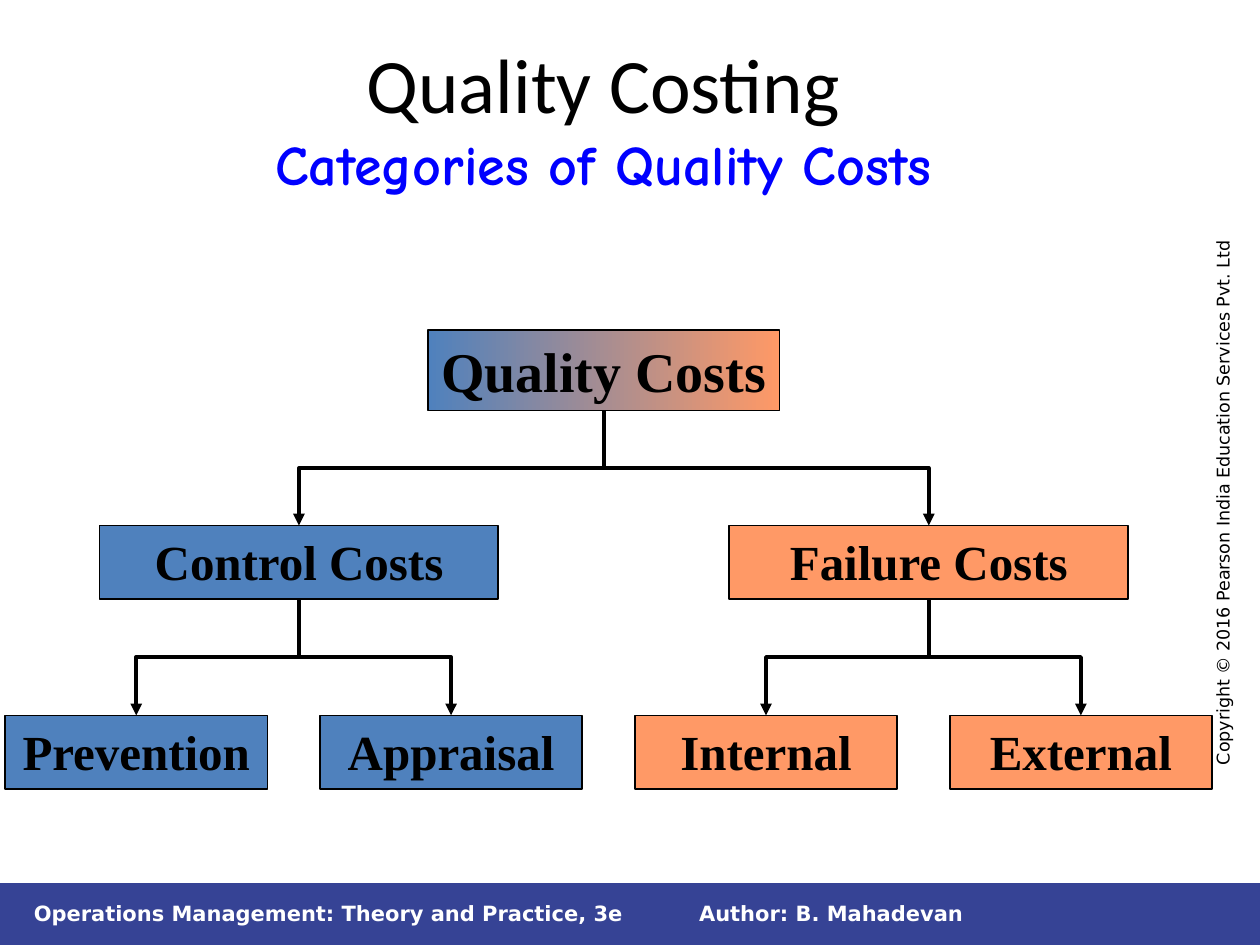
import collections

import lxml.etree
import pptx
import pptx.dml.color
import pptx.enum.shapes
import pptx.enum.text
import pptx.oxml.ns
import pptx.util

RGBColor = pptx.dml.color.RGBColor
BLACK = RGBColor(0x00, 0x00, 0x00)
WHITE = RGBColor(0xFF, 0xFF, 0xFF)
BLUE = RGBColor(0x00, 0x00, 0xFF)
NAVY = RGBColor(0x36, 0x43, 0x95)
CONTROL = RGBColor(0x4F, 0x81, 0xBD)
FAILURE = RGBColor(0xFF, 0x99, 0x66)

ALIGN = pptx.enum.text.PP_ALIGN
ANCHOR = pptx.enum.text.MSO_ANCHOR
RECTANGLE = pptx.enum.shapes.MSO_SHAPE.RECTANGLE
ELBOW = pptx.enum.shapes.MSO_CONNECTOR.ELBOW
BOTTOM, TOP = 2, 0

Box = collections.namedtuple("Box", "left top width height")

BRANCHES = [
    ("Control Costs", CONTROL, ["Prevention", "Appraisal"]),
    ("Failure Costs", FAILURE, ["Internal", "External"]),
]


def inches(box):
    return [pptx.util.Inches(length) for length in box]


def write(paragraph, text, font="DejaVu Sans", size=12, color=BLACK, bold=False, align=None):
    paragraph.alignment = align
    run = paragraph.add_run()
    run.text = text
    run.font.name = font
    run.font.size = pptx.util.Pt(size)
    run.font.color.rgb = color
    run.font.bold = bold


def add_text(slide, box, text, anchor=ANCHOR.TOP, rotation=0, **style):
    shape = slide.shapes.add_textbox(*inches(box))
    shape.rotation = rotation
    shape.text_frame.word_wrap = True
    shape.text_frame.vertical_anchor = anchor
    write(shape.text_frame.paragraphs[0], text, **style)


def add_rectangle(slide, box, color):
    shape = slide.shapes.add_shape(RECTANGLE, *inches(box))
    shape.shadow.inherit = False
    shape.fill.solid()
    shape.fill.fore_color.rgb = color
    return shape


def add_node(slide, box, text, color, size=28, line_width=1, wrap=True):
    shape = add_rectangle(slide, box, color)
    shape.line.color.rgb = BLACK
    shape.line.width = pptx.util.Pt(line_width)
    frame = shape.text_frame
    frame.word_wrap = wrap
    frame.vertical_anchor = ANCHOR.TOP
    write(frame.paragraphs[0], text, font="Times New Roman", size=size, bold=True,
          align=ALIGN.CENTER)
    return shape


def join(slide, parent, child):
    connector = slide.shapes.add_connector(ELBOW, 0, 0, 0, 0)
    connector.begin_connect(parent, BOTTOM)
    connector.end_connect(child, TOP)
    start_x, start_y = connector.begin_x, connector.begin_y
    end_x, end_y = connector.end_x, connector.end_y

    # The elbow leaves downwards, so its frame is turned a quarter.
    drop, reach = end_y - start_y, abs(end_x - start_x)
    connector.left = (start_x + end_x - drop) // 2
    connector.top = (start_y + end_y - reach) // 2
    connector.width, connector.height = drop, reach
    qn = pptx.oxml.ns.qn
    properties = connector._element.spPr
    frame = properties.find(qn("a:xfrm"))
    frame.attrib.pop("flipH", None)
    frame.set("rot", "5400000")
    if end_x > start_x:
        frame.set("rot", "16200000")
        frame.set("flipH", "1")

    connector.line.color.rgb = BLACK
    connector.line.width = pptx.util.Pt(2.25)
    line = properties.find(qn("a:ln"))
    lxml.etree.SubElement(line, qn("a:tailEnd"), type="triangle")
    lxml.etree.SubElement(properties, qn("a:effectLst"))


def add_title(slide, box):
    title = slide.shapes.title
    title.left, title.top, title.width, title.height = inches(box)
    frame = title.text_frame
    frame.auto_size = pptx.enum.text.MSO_AUTO_SIZE.NONE
    frame.vertical_anchor = ANCHOR.MIDDLE
    paragraph = frame.paragraphs[0]
    write(paragraph, "Quality Costing", font="Calibri", size=44, align=ALIGN.CENTER)
    paragraph.add_line_break()
    write(paragraph, "Categories of Quality Costs", font="Comic Neue", size=32, color=BLUE,
          bold=True, align=ALIGN.CENTER)


def add_footer(slide, box):
    band = add_rectangle(slide, box, NAVY)
    band.line.fill.background()
    columns = [
        (0.017, 0.5, "Operations Management: Theory and Practice, 3e"),
        (0.545, 0.45, "Author: B. Mahadevan"),
    ]
    for offset, share, text in columns:
        place = Box(box.left + offset * box.width, box.top + 0.18 * box.height,
                    share * box.width, 0.6 * box.height)
        add_text(slide, place, text, anchor=ANCHOR.MIDDLE, color=WHITE, bold=True)


def add_copyright(slide, box):
    place = Box(box.left + (box.width - box.height) / 2, box.top + (box.height - box.width) / 2,
                box.height, box.width)
    add_text(slide, place, "Copyright © 2016 Pearson India Education Services Pvt. Ltd",
             rotation=270, size=10)


def add_cost_tree(slide, box):
    column = box.width / 23
    row = box.height / 100
    node_height = 16 * row

    root_box = Box(box.left + 8.06 * column, box.top, 6.7 * column, 17.6 * row)
    root = add_node(slide, root_box, "Quality Costs", CONTROL, size=32, line_width=0.75,
                    wrap=False)
    root.fill.gradient()
    root.fill.gradient_angle = 0
    for stop, color in zip(root.fill.gradient_stops, (CONTROL, FAILURE)):
        stop.color.rgb = color

    for index, (text, color, leaves) in enumerate(BRANCHES):
        left = box.left + 12 * column * index
        branch_box = Box(left + 1.8 * column, box.top + 42.6 * row, 7.6 * column, node_height)
        branch = add_node(slide, branch_box, text, color)
        join(slide, root, branch)
        for position, leaf_text in enumerate(leaves):
            leaf_box = Box(left + 6 * column * position, box.top + 84 * row, 5 * column,
                           node_height)
            leaf = add_node(slide, leaf_box, leaf_text, color)
            join(slide, branch, leaf)


def main():
    presentation = pptx.Presentation()
    presentation.slide_width = pptx.util.Inches(10)
    presentation.slide_height = pptx.util.Inches(7.5)
    slide = presentation.slides.add_slide(presentation.slide_layouts[5])
    add_footer(slide, Box(0, 7.01, 10, 0.5))
    add_copyright(slide, Box(9.57, 1.66, 0.27, 4.51))
    add_title(slide, Box(0.29, 0.3, 9, 1.25))
    add_cost_tree(slide, Box(0.04, 2.62, 9.58, 3.64))
    presentation.save("out.pptx")


if __name__ == "__main__":
    main()
